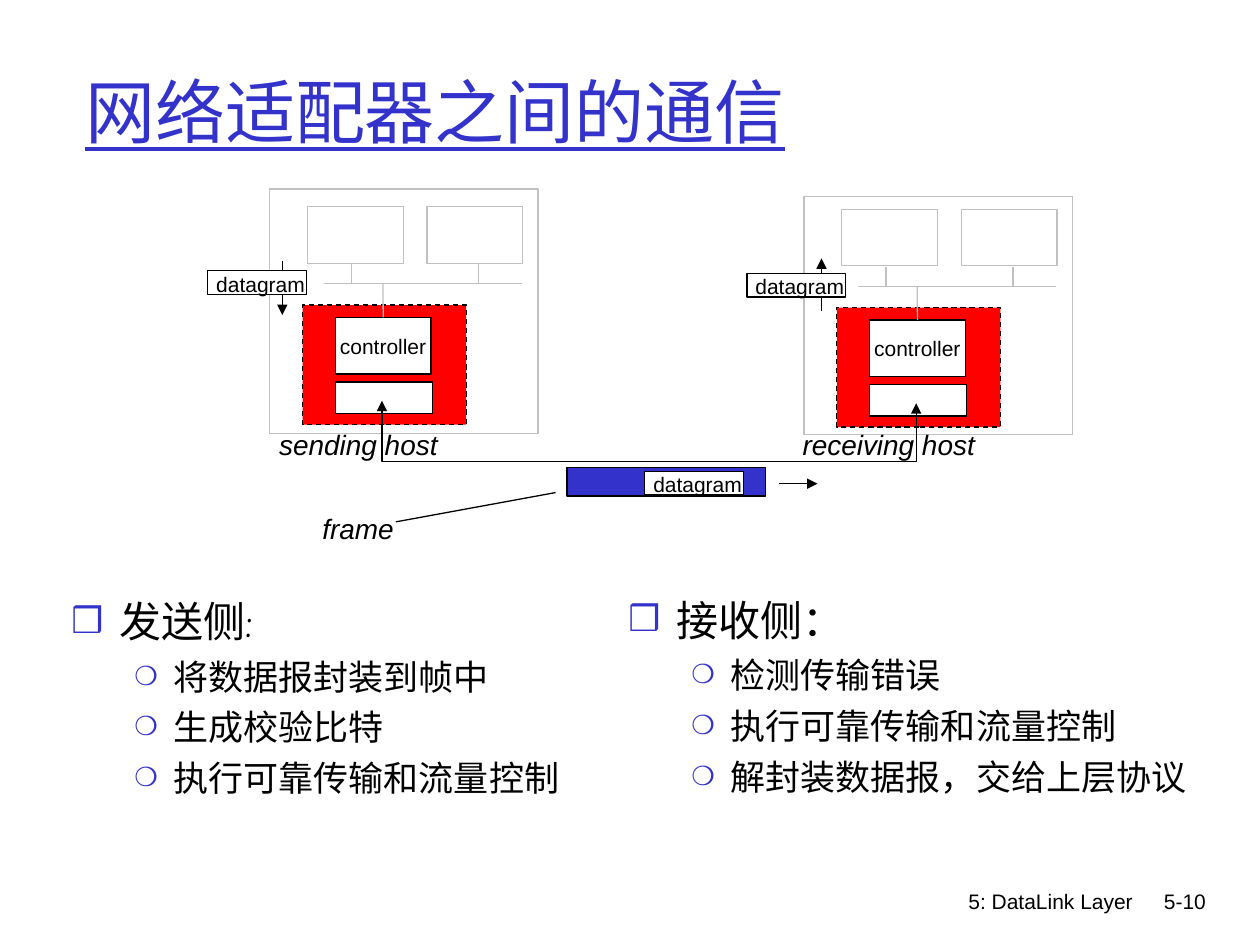
"""Build a slide on how two network adapters communicate."""
from lxml.etree import SubElement
from pptx import Presentation
from pptx.dml.color import RGBColor
from pptx.enum.dml import MSO_LINE
from pptx.enum.shapes import MSO_CONNECTOR, MSO_SHAPE
from pptx.enum.text import MSO_ANCHOR, PP_ALIGN
from pptx.oxml.ns import qn
from pptx.util import Cm, Pt

BLACK = RGBColor(0x00, 0x00, 0x00)
WHITE = RGBColor(0xFF, 0xFF, 0xFF)
GRAY = RGBColor(0xC0, 0xC0, 0xC0)
RED = RGBColor(0xFF, 0x00, 0x00)
BLUE = RGBColor(0x33, 0x33, 0xCC)


class Deck:
    body_font = "Comic Neue"
    label_font = "Arial"
    line_width = Pt(0.75)
    bullets = (("❒", 85, 24, 0.97, -0.97, 6), ("❍", 75, 20, 2.06, -0.79, 5))

    def __init__(self, s):
        self.s = s

    def stroke(self, sp, color, ends=()):
        sp.line.color.rgb = color
        sp.line.width = self.line_width
        ln = sp._element.spPr.find(qn("a:ln"))
        for end in ends:
            SubElement(ln, qn(f"a:{end}"), type="triangle")

    def run(self, p, text, size, font, color=BLACK):
        r = p.add_run()
        r.text = text
        r.font.size = Pt(size)
        r.font.name = font
        r.font.color.rgb = color
        return r

    def rect(self, x, y, w, h, fill=WHITE, color=BLACK):
        sp = self.s.shapes.add_shape(MSO_SHAPE.RECTANGLE, Cm(x), Cm(y), Cm(w), Cm(h))
        sp.shadow.inherit = False
        sp.fill.solid()
        sp.fill.fore_color.rgb = fill
        self.stroke(sp, color)
        return sp

    def line(self, x1, y1, x2, y2, color=BLACK, ends=()):
        c = self.s.shapes.add_connector(MSO_CONNECTOR.STRAIGHT, Cm(x1), Cm(y1), Cm(x2), Cm(y2))
        self.stroke(c, color, ends)
        SubElement(c._element.spPr, qn("a:effectLst"))
        return c

    def arrow(self, x1, y1, x2, y2):
        return self.line(x1, y1, x2, y2, ends=["tailEnd"])

    def box(self, x, y, w, h):
        tf = self.s.shapes.add_textbox(Cm(x), Cm(y), Cm(w), Cm(h)).text_frame
        tf.word_wrap = True
        return tf

    def title(self, text):
        tf = self.box(1.47, 0.64, 21.59, 3.18)
        tf.vertical_anchor = MSO_ANCHOR.MIDDLE
        self.run(tf.paragraphs[0], text, 40, self.body_font, BLUE).font.underline = True

    def label(self, text, x, y, w, h, size=16, italic=True):
        tf = self.box(x, y, w, h)
        self.run(tf.paragraphs[0], text, size, self.label_font).font.italic = italic

    def footer(self, text, x, w):
        p = self.box(x, 17.78, w, 1.27).paragraphs[0]
        p.alignment = PP_ALIGN.RIGHT
        self.run(p, text, 12, self.label_font)

    def datagram(self, x, y):
        self.rect(x, y, 1.99, 0.48)
        self.label("datagram", x - 0.08, y - 0.12, 2.5, 0.76, size=12, italic=False)

    def host(self, dx, dy, top, height):
        self.rect(5.44 + dx, top, 5.41, height, color=GRAY)
        self.rect(6.1 + dx, 6.15 + dy, 3.3, 2.41, RED).line.dash_style = MSO_LINE.DASH
        self.rect(6.76 + dx, 7.7 + dy, 1.96, 0.64)
        controller = self.rect(6.76 + dx, 6.4 + dy, 1.93, 1.14)
        tf = controller.text_frame
        tf.word_wrap = False
        tf.vertical_anchor = MSO_ANCHOR.MIDDLE
        p = tf.paragraphs[0]
        p.alignment = PP_ALIGN.CENTER
        self.run(p, "controller", 12, self.label_font)
        bus = 5.72 + dy
        self.line(6.53 + dx, bus, 10.52 + dx, bus, GRAY)
        middle = 7.72 + dx
        self.line(middle, 6.4 + dy, middle, bus, GRAY).begin_connect(controller, 0)
        for x, drop in ((6.2, 7.09), (8.61, 9.65)):
            self.rect(x + dx, 4.17 + dy, 1.93, 1.14, color=GRAY)
            self.line(drop + dx, bus, drop + dx, 5.33 + dy, GRAY)

    def link(self, points):
        (x, y), *rest = [(Cm(a), Cm(b)) for a, b in points]
        fb = self.s.shapes.build_freeform(x, y)
        fb.add_line_segments(rest, close=False)
        sp = fb.convert_to_shape()
        sp.shadow.inherit = False
        sp.fill.background()
        self.stroke(sp, BLACK, ["headEnd", "tailEnd"])

    def outline(self, x, y, w, h, heading, items):
        tf = self.box(x, y, w, h)
        for i, text in enumerate([heading, *items]):
            p = tf.add_paragraph() if i else tf.paragraphs[0]
            level = min(i, 1)
            char, percent, size, margin, indent, before = self.bullets[level]
            p.level = level
            pPr = p._p.get_or_add_pPr()
            pPr.set("marL", str(Cm(margin)))
            pPr.set("indent", str(Cm(indent)))
            SubElement(SubElement(pPr, qn("a:buClr")), qn("a:srgbClr"), val=str(BLUE))
            SubElement(pPr, qn("a:buSzPct"), val=str(percent * 1000))
            SubElement(pPr, qn("a:buFont"), typeface=self.label_font)
            SubElement(pPr, qn("a:buChar"), char=char)
            if i:
                p.space_before = Pt(before)
            self.run(p, text, size, self.body_font)


def main():
    prs = Presentation()
    prs.slide_width, prs.slide_height = Cm(25.4), Cm(19.05)
    d = Deck(prs.slides.add_slide(prs.slide_layouts[6]))

    d.footer("5: DataLink Layer", 15.04, 8.05)
    d.footer("5-10", 22.68, 1.88)
    d.title("网络适配器之间的通信")
    d.outline(1.19, 11.89, 11.3, 5.38, "发送侧:",
              ["将数据报封装到帧中", "生成校验比特", "执行可靠传输和流量控制"])
    d.outline(12.42, 11.86, 11.84, 5.13, "接收侧：",
              ["检测传输错误", "执行可靠传输和流量控制", "解封装数据报，交给上层协议"])

    d.host(0, 0, 3.81, 4.93)
    d.host(10.77, 0.05, 3.96, 4.8)
    d.label("sending host", 5.38, 8.5, 4.2, 0.94)
    d.label("receiving host", 15.93, 8.5, 4.5, 0.94)

    d.arrow(5.69, 5.26, 5.69, 6.35)
    d.datagram(4.19, 5.46)
    d.arrow(16.56, 6.27, 16.56, 5.21)
    d.datagram(15.06, 5.51)

    d.link([(7.7, 8.08), (7.7, 9.3), (18.47, 9.3), (18.47, 8.13)])
    d.rect(11.43, 9.42, 4.01, 0.58, BLUE)
    d.datagram(13, 9.5)
    d.arrow(15.7, 9.75, 16.48, 9.75)
    d.label("frame", 6.25, 10.19, 2.4, 0.94)
    d.line(7.98, 10.52, 11.2, 9.93)

    prs.save("out.pptx")


if __name__ == "__main__":
    main()
